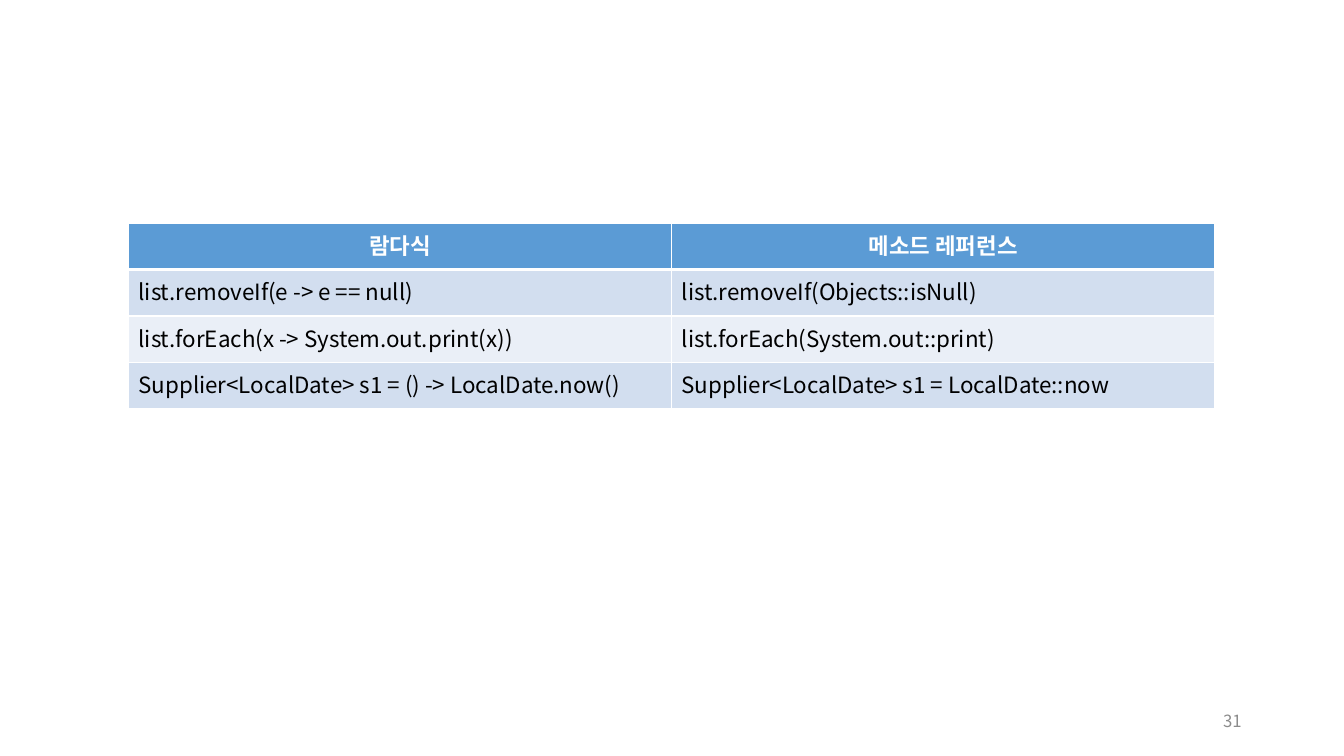
from pptx import Presentation
from pptx.dml.color import RGBColor
from pptx.enum.text import MSO_ANCHOR, PP_ALIGN
from pptx.util import Pt
from lxml.etree import SubElement
from pptx.oxml.ns import qn

FACE = "Noto Sans CJK KR"
WHITE = RGBColor(0xFF, 0xFF, 0xFF)
BLACK = RGBColor(0x00, 0x00, 0x00)
GREY = RGBColor(0x8C, 0x8C, 0x8C)
BLUE = RGBColor(0x5B, 0x9B, 0xD5)
BANDS = [RGBColor(0xEA, 0xEF, 0xF7), RGBColor(0xD2, 0xDE, 0xEF)]

HEAD = {"size": Pt(16), "bold": True, "name": FACE}
BODY = {"size": Pt(16), "bold": False, "name": FACE}
PAGE = {"size": Pt(12), "bold": False, "name": FACE}

ROWS = [
    ("람다식", "메소드 레퍼런스"),
    ("list.removeIf(e -> e == null)", "list.removeIf(Objects::isNull)"),
    ("list.forEach(x -> System.out.print(x))", "list.forEach(System.out::print)"),
    ("Supplier<LocalDate> s1 = () -> LocalDate.now()",
     "Supplier<LocalDate> s1 = LocalDate::now"),
]


def write(frame, text, style, color, align):
    par = frame.paragraphs[0]
    par.alignment = align
    run = par.add_run()
    run.text = text
    for key, value in style.items():
        setattr(run.font, key, value)
    run.font.color.rgb = color
    SubElement(run.font._element, qn("a:ea"), typeface=FACE)


def border(cell, widths):
    props = cell._tc.get_or_add_tcPr()
    for side, width in widths.items():
        line = SubElement(props, qn(f"a:ln{side}"), w=str(Pt(width)))
        fill = SubElement(line, qn("a:solidFill"))
        SubElement(fill, qn("a:srgbClr"), val=str(WHITE))


def add_grid(slide, rows, left, top, width, height):
    shape = slide.shapes.add_table(
        len(rows), len(rows[0]), Pt(left), Pt(top), Pt(width), Pt(height))
    grid = shape.table
    for row, texts in enumerate(rows):
        head = row == 0
        for col, text in enumerate(texts):
            cell = grid.cell(row, col)
            border(cell, {"L": 1, "R": 1, "T": 3 if row == 1 else 1,
                          "B": 3 if head else 1})
            cell.fill.solid()
            cell.fill.fore_color.rgb = BLUE if head else BANDS[row % 2]
            write(cell.text_frame, text, HEAD if head else BODY,
                  WHITE if head else BLACK,
                  PP_ALIGN.CENTER if head else PP_ALIGN.LEFT)


def add_page(slide, text, left, top, width, height):
    box = slide.shapes.add_textbox(Pt(left), Pt(top), Pt(width), Pt(height))
    frame = box.text_frame
    frame.word_wrap = True
    frame.vertical_anchor = MSO_ANCHOR.MIDDLE
    write(frame, text, PAGE, GREY, PP_ALIGN.RIGHT)


def main():
    deck = Presentation()
    deck.slide_width, deck.slide_height = Pt(960), Pt(540)
    slide = deck.slides.add_slide(deck.slide_layouts[6])
    add_page(slide, "31", 678, 500.5, 216, 28.75)
    add_grid(slide, ROWS, 91.75, 159.4, 776, 132.8)
    deck.save("out.pptx")


if __name__ == "__main__":
    main()
